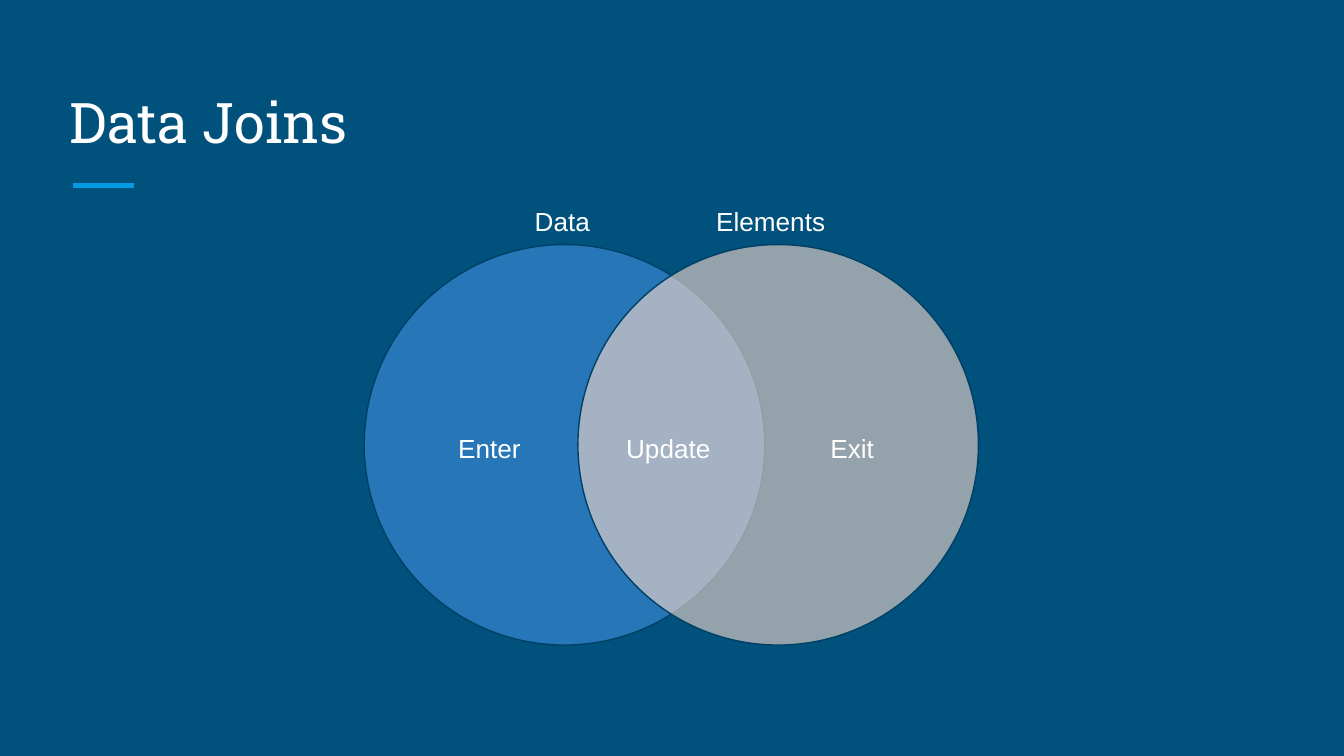
"""Build the Data Joins slide with its Venn diagram."""
import pptx
import pptx.dml.color
import pptx.enum.shapes
import pptx.enum.text
import pptx.oxml.ns
import pptx.util
from lxml import etree

Inches = pptx.util.Inches
Pt = pptx.util.Pt
RGBColor = pptx.dml.color.RGBColor
qn = pptx.oxml.ns.qn

NAVY = RGBColor(0x00, 0x51, 0x7C)
EDGE = RGBColor(0x00, 0x40, 0x65)
ACCENT = RGBColor(0x03, 0x9B, 0xE5)
BLUE = RGBColor(0x53, 0xA3, 0xFF)
PEACH = RGBColor(0xF8, 0xDB, 0xCB)
WHITE = RGBColor(0xFF, 0xFF, 0xFF)


def write(frame, text, font, size):
    frame.margin_left = frame.margin_right = Inches(0.1)
    frame.margin_top = frame.margin_bottom = Inches(0.1)
    frame.auto_size = pptx.enum.text.MSO_AUTO_SIZE.NONE
    line = frame.paragraphs[0]
    line.alignment = pptx.enum.text.PP_ALIGN.LEFT
    run = line.add_run()
    run.text = text
    run.font.name = font
    run.font.size = Pt(size)
    run.font.color.rgb = WHITE


deck = pptx.Presentation()
deck.slide_width = Inches(10)
deck.slide_height = Inches(10 * 9 / 16)
slide = deck.slides.add_slide(deck.slide_layouts[5])
slide.background.fill.solid()
slide.background.fill.fore_color.rgb = NAVY
shapes = slide.shapes

title = shapes.title
title.left, title.top = Inches(0.42), Inches(0.5)
title.width, title.height = Inches(9.15), Inches(0.75)
title.text_frame.vertical_anchor = pptx.enum.text.MSO_ANCHOR.BOTTOM
write(title.text_frame, "Data Joins", "Roboto Slab", 30)

rule = shapes.add_connector(
    pptx.enum.shapes.MSO_CONNECTOR.STRAIGHT,
    Inches(0.54), Inches(1.38), Inches(1), Inches(1.38))
rule.line.color.rgb = ACCENT
rule.line.width = Pt(3)
etree.SubElement(rule._element.spPr, qn("a:effectLst"))

for left, color, alpha in [(2.71, BLUE, 46), (4.3, PEACH, 60)]:
    circle = shapes.add_shape(
        pptx.enum.shapes.MSO_SHAPE.OVAL,
        Inches(left), Inches(1.82), Inches(2.98), Inches(2.98))
    circle.shadow.inherit = False
    circle.fill.solid()
    circle.fill.fore_color.rgb = color
    shade = circle._element.spPr.find(qn("a:solidFill"))[0]
    etree.SubElement(shade, qn("a:alpha"), val=str(alpha * 1000))
    circle.line.color.rgb = EDGE
    circle.line.width = Pt(0.75)

labels = [
    ("Enter", 3.31, 3.12, 0.71),
    ("Exit", 6.08, 3.12, 0.61),
    ("Update", 4.56, 3.12, 0.88),
    ("Data", 3.88, 1.43, 0.65),
    ("Elements", 5.23, 1.43, 1.14),
]
for text, left, top, width in labels:
    label = shapes.add_textbox(
        Inches(left), Inches(top), Inches(width), Inches(0.39))
    label.text_frame.word_wrap = False
    write(label.text_frame, text, "Arial", 14)

deck.save("out.pptx")
